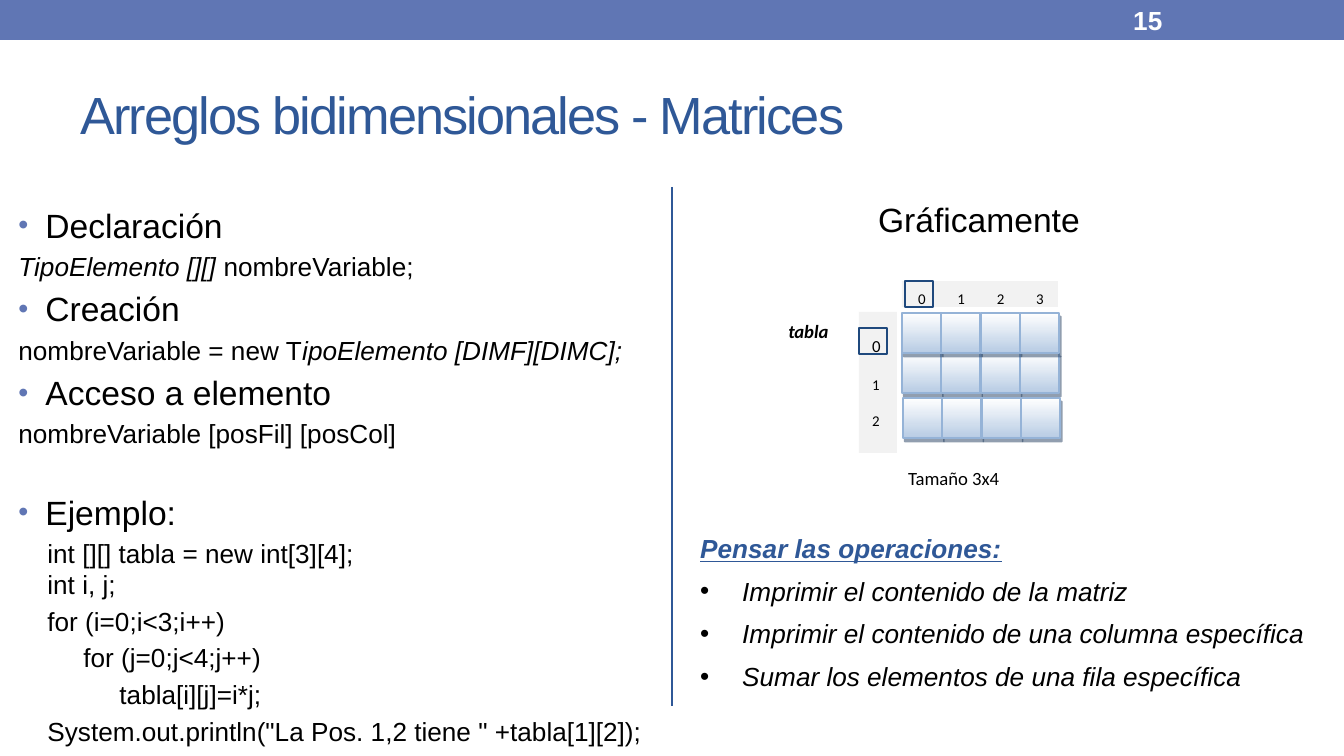
import pptx
import pptx.dml.color
import pptx.enum.shapes
import pptx.enum.text
import pptx.oxml
import pptx.oxml.ns
import pptx.util

EMU_PER_PX = 914400 / 134.4
COLORS = {
    "band": "6076B4", "accent": "2F5897", "text": "000000", "white": "FFFFFF",
    "strip": "F2F2F2", "cell_end": "B8CCE4", "cell_line": "95B3D7",
    "cell_shadow": "243F60", "marker": "1F497D",
}
SHAPES = pptx.enum.shapes.MSO_SHAPE
ALIGN = pptx.enum.text.PP_ALIGN
ANCHOR = pptx.enum.text.MSO_ANCHOR
AUTO_SIZE = pptx.enum.text.MSO_AUTO_SIZE

# A paragraph is its (text, run format) pieces followed by its paragraph format.
HEADING = {"before": 3.6, "hanging": 27, "bullet": "band"}
PLAIN = {"before": 2.8}
CODE = {"before": 2.8, "left": 29}
SYNTAX = [
    ([("Declaración", {"size": 18})], HEADING),
    ([("TipoElemento [][] ", {"italic": True}), ("nombreVariable;", {})], PLAIN),
    ([("Creación", {"size": 18})], HEADING),
    ([("nombreVariable = new T", {}), ("ipoElemento [DIMF][DIMC];", {"italic": True})], PLAIN),
    ([("Acceso a elemento", {"size": 18})], HEADING),
    ([("nombreVariable [posFil] [posCol]", {})], PLAIN),
    ([("Ejemplo:", {"size": 18})], {**HEADING, "before": 22.8}),
    ([("int [][] tabla = new int[3][4];", {})], CODE),
    ([("int i, j;", {})], {**CODE, "before": 0}),
    ([("for (i=0;i<3;i++)", {})], CODE),
    ([("for (j=0;j<4;j++)", {})], {**CODE, "left": 65}),
    ([("tabla[i][j]=i*j;", {})], {**CODE, "left": 101}),
    ([("System.out.println(\"La Pos. 1,2 tiene \" +tabla[1][2]);", {})], CODE),
]
TASKS = [
    "Imprimir el contenido de la matriz",
    "Imprimir el contenido de una columna específica",
    "Sumar los elementos de una fila específica",
]
OPERATIONS = [([("Pensar las operaciones:",
                 {"bold": True, "italic": True, "underline": True, "color": "accent"})],
               {"before": 6})]
OPERATIONS += [([(task, {"italic": True})], {"before": 6, "hanging": 42, "bullet": "text"})
               for task in TASKS]
ROW_LABELS = [
    ([("0", {"size": 9})], {}),
    ([("1", {"size": 8})], {"before": 10.5}),
    ([("2", {"size": 8})], {"before": 9.5}),
]
# Row (left, top) in drawing order: the middle row lies under the first.
CELL_ROWS = [(902, 353), (902, 313), (903, 398)]
CELL_COLUMNS, CELL_PITCH, CELL_SIZE = 4, 39.3, (39, 40)
MARKERS = [(905, 281), (859, 328)]


def px(length):
    return pptx.util.Emu(round(length * EMU_PER_PX))


def rgb(name):
    return pptx.dml.color.RGBColor.from_string(COLORS[name])


def xml(markup):
    return pptx.oxml.parse_xml(
        markup.replace(" ", f" {pptx.oxml.ns.nsdecls('a')} ", 1))


def write(shape, paragraphs, font="Arial", size=14, color="text", anchor=ANCHOR.TOP):
    frame = shape.text_frame
    frame.vertical_anchor = anchor
    for number, (pieces, layout) in enumerate(paragraphs):
        para = frame.paragraphs[0] if number == 0 else frame.add_paragraph()
        para.alignment = ALIGN.LEFT
        para.space_before = pptx.util.Pt(layout.get("before", 0))
        hanging = layout.get("hanging", 0)
        properties = para._p.get_or_add_pPr()
        properties.set("marL", str(px(layout.get("left", hanging))))
        properties.set("indent", str(px(-hanging)))
        if "bullet" in layout:
            percent = 85 if layout["bullet"] == "band" else 100
            properties.append(xml('<a:buClr ><a:srgbClr val="%s"/></a:buClr>'
                                  % COLORS[layout["bullet"]]))
            properties.append(xml(f'<a:buSzPct val="{percent * 1000}"/>'))
            properties.append(xml('<a:buFont typeface="Arial"/>'))
            properties.append(xml('<a:buChar char="•"/>'))
        else:
            properties.append(xml("<a:buNone />"))
        for text, style in pieces:
            span = para.add_run()
            span.text = text
            span.font.name = font
            span.font.size = pptx.util.Pt(style.get("size", size))
            span.font.color.rgb = rgb(style.get("color", color))
            span.font.bold = style.get("bold", False)
            span.font.italic = style.get("italic", False)
            span.font.underline = style.get("underline", False)


def place(shape, left, top, width, height):
    shape.left, shape.top, shape.width, shape.height = map(px, (left, top, width, height))


def add_text(slide, bounds, paragraphs, grow=False, **style):
    box = slide.shapes.add_textbox(*map(px, bounds))
    box.text_frame.word_wrap = not grow
    if grow:
        box.text_frame.auto_size = AUTO_SIZE.SHAPE_TO_FIT_TEXT
    write(box, paragraphs, **style)


def add_box(slide, bounds, fill=None, line=None, weight=1):
    box = slide.shapes.add_shape(SHAPES.RECTANGLE, *map(px, bounds))
    box.shadow.inherit = False
    if fill:
        box.fill.solid()
        box.fill.fore_color.rgb = rgb(fill)
    else:
        box.fill.background()
    if line:
        box.line.color.rgb = rgb(line)
        box.line.width = pptx.util.Pt(weight)
    else:
        box.line.fill.background()
    return box


def add_cell(slide, left, top):
    """Add a matrix cell with a vertical gradient and a hard shadow."""
    cell = add_box(slide, (left, top, *CELL_SIZE), line="cell_line")
    cell.fill.gradient()
    cell.fill.gradient_angle = 270
    for stop, name, position in zip(cell.fill.gradient_stops, ("white", "cell_end"), (0, 1)):
        stop.color.rgb = rgb(name)
        stop.position = position
    effects = cell._element.spPr.find(pptx.oxml.ns.qn("a:effectLst"))
    effects.append(xml(
        f'<a:outerShdw dist="{pptx.util.Pt(2.2)}" dir="{63 * 60000}">'
        f'<a:srgbClr val="{COLORS["cell_shadow"]}"><a:alpha val="50000"/></a:srgbClr>'
        "</a:outerShdw>"))


def main():
    deck = pptx.Presentation()
    deck.slide_width, deck.slide_height = px(1344), px(756)
    slide = deck.slides.add_slide(deck.slide_layouts[1])
    title, body = slide.placeholders

    add_box(slide, (0, 0, 1344, 40), fill="band")
    divider = slide.shapes.add_connector(
        pptx.enum.shapes.MSO_CONNECTOR.STRAIGHT, px(672), px(187), px(672), px(706))
    divider.line.color.rgb = rgb("accent")
    divider.line.width = pptx.util.Pt(1.5)
    divider._element.spPr.append(xml("<a:effectLst />"))

    place(title, 67, 59, 1210, 109)
    write(title, [([("Arreglos bidimensionales - Matrices", {})], {})],
          size=28, color="accent", anchor=ANCHOR.MIDDLE)
    title.text_frame.paragraphs[0].runs[0].font._element.set("spc", "-100")
    add_text(slide, (1120, 2, 157, 37), [([("15", {"bold": True})], {})],
             color="white", anchor=ANCHOR.MIDDLE)
    place(body, 5, 198, 656, 530)
    body.text_frame.auto_size = AUTO_SIZE.NONE
    write(body, SYNTAX)

    add_box(slide, (902, 281, 156, 26), fill="strip")
    row_strip = add_box(slide, (859, 312, 38, 141), fill="strip")
    write(row_strip, ROW_LABELS, font="Calibri", anchor=ANCHOR.MIDDLE)
    for left, top in CELL_ROWS:
        for column in range(CELL_COLUMNS):
            add_cell(slide, left + column * CELL_PITCH, top)
    for column in range(CELL_COLUMNS):
        add_text(slide, (905 + column * CELL_PITCH, 283, 40, 32),
                 [([(str(column), {})], {})], font="Calibri", size=8)
    for left, top in MARKERS:
        add_box(slide, (left, top, 28, 26), line="marker", weight=0.75)

    add_text(slide, (775, 313, 83, 34), [([("tabla", {"bold": True, "italic": True})], {})],
             font="Calibri", size=10)
    add_text(slide, (895, 460, 140, 43), [([("Tamaño 3x4", {})], {})], font="Calibri", size=10)
    add_text(slide, (865, 192, 231, 54), [([("Gráficamente", {})], {})], grow=True, size=18)
    add_text(slide, (687, 526, 633, 175), OPERATIONS, grow=True)
    deck.save("out.pptx")


if __name__ == "__main__":
    main()
